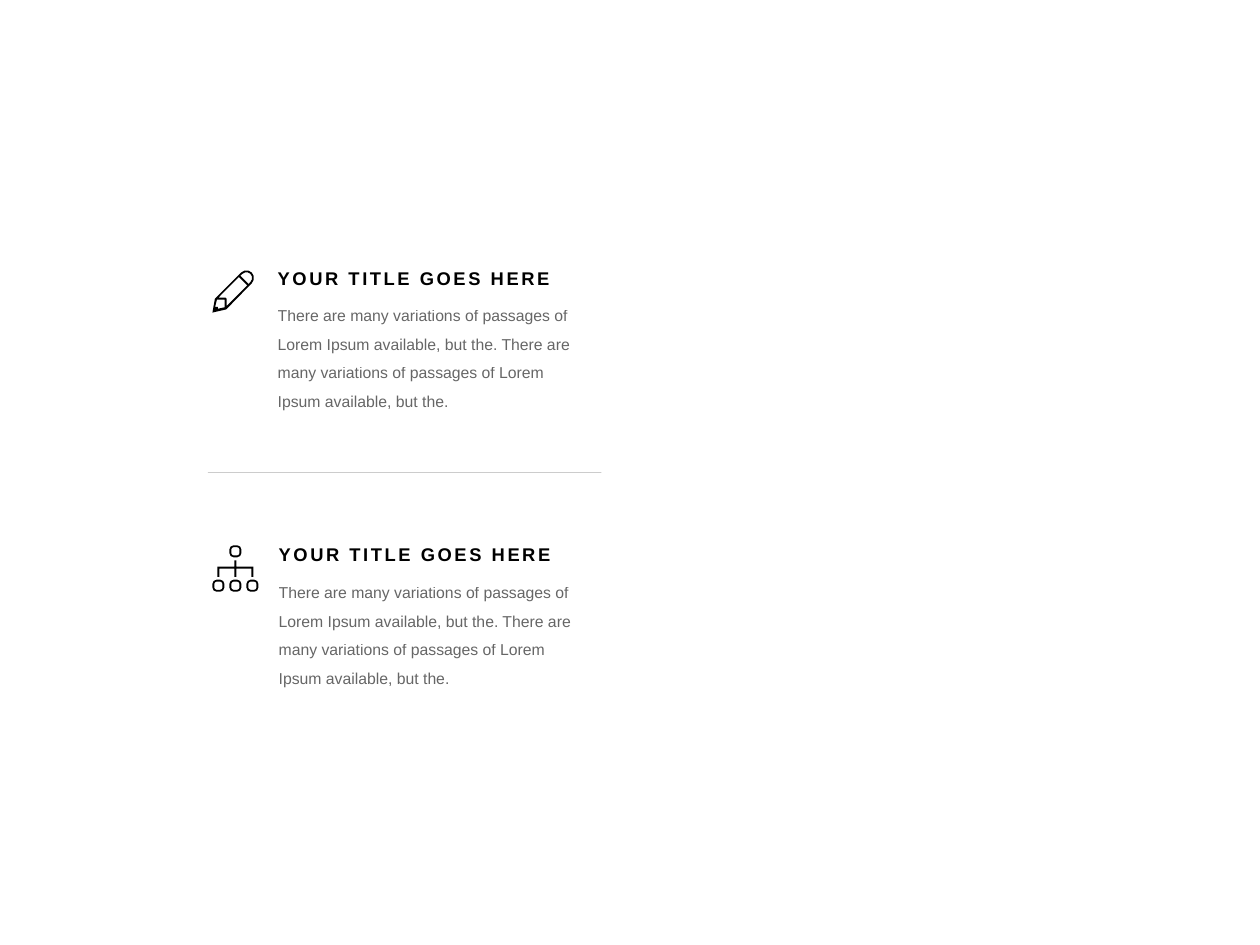
import math

import pptx
import pptx.dml.color
import pptx.enum.shapes
import pptx.enum.text
import pptx.oxml
import pptx.oxml.ns
import pptx.util

COLORS = {"ink": "000000"}
FONT = "Arial"
INK = pptx.dml.color.RGBColor.from_string(COLORS["ink"])
TITLE = "YOUR TITLE GOES HERE"
SENTENCE = "There are many variations of passages of Lorem Ipsum available, but the."

presentation = pptx.Presentation()
presentation.slide_width = pptx.util.Inches(10)
presentation.slide_height = pptx.util.Inches(7.5)
slide = presentation.slides.add_slide(presentation.slide_layouts[6])

# Grid: 1000 columns across the slide, square cells
CELL = presentation.slide_width // 1000
FINE = 100  # icon steps per cell


def arc(center_x, center_y, radius, start, end, steps):
    angles = [math.radians(start + (end - start) * i / steps) for i in range(steps + 1)]
    return [(center_x + radius * math.cos(a), center_y + radius * math.sin(a))
            for a in angles]


def fade(element, percent):
    color = element.find(".//" + pptx.oxml.ns.qn("a:srgbClr"))
    alpha = color.makeelement(pptx.oxml.ns.qn("a:alpha"), {"val": str(percent * 1000)})
    color.append(alpha)


# Pencil outline with its eraser, body and tip cut out
pencil = [
    arc(27, 6, 6, 225, 405, 6) + [(11, 31), (0, 33.5), (2, 22.5)],
    arc(27, 6, 4.5, 225, 405, 6) + [(28.8, 10.8), (22.2, 4.2)],
    [(11.3, 28.3), (11.3, 22.5), (10.5, 21.7), (4.7, 21.7), (21.1, 5.3), (27.7, 11.9)],
    [(9.8, 29.3), (4.3, 30.5), (4.3, 29), (2.2, 29), (3.6, 23.2), (9.8, 23.2)],
]

# Hierarchy: one box above three, joined by a branch
PITCH, BOX, STROKE, ROUNDING = 13.5, 9.5, 1.5, 3.3
near, far = ROUNDING, BOX - ROUNDING
corners = [(far, near, 270), (far, far, 0), (near, far, 90), (near, near, 180)]
hierarchy = []
for column, top in [(1, 0), (0, 27.3), (1, 27.3), (2, 27.3)]:
    left = column * PITCH
    for inset in (0, STROKE):
        hierarchy.append([point for x, y, angle in corners for point in
                          arc(left + x, top + y, ROUNDING - inset, angle, angle + 90, 2)])
half = STROKE / 2
first, middle, last = [BOX / 2 + PITCH * i for i in range(3)]
bar_top, bar_bottom, stem_top, leg_end = 17, 18.5, 12, 25
hierarchy.append([
    (first - half, bar_top), (middle - half, bar_top), (middle - half, stem_top),
    (middle + half, stem_top), (middle + half, bar_top), (last + half, bar_top),
    (last + half, leg_end), (last - half, leg_end), (last - half, bar_bottom),
    (middle + half, bar_bottom), (middle + half, leg_end), (middle - half, leg_end),
    (middle - half, bar_bottom), (first + half, bar_bottom),
    (first + half, leg_end), (first - half, leg_end),
])

# Two entries: icon, title and description
for outlines, icon_top, text_left, title_top, body_top in [
    (pencil, 214.6, 220.4, 215.2, 235.3),
    (hierarchy, 432.8, 221.2, 434.5, 455.2),
]:
    builder = None
    for outline in outlines:
        points = [(x * FINE, y * FINE) for x, y in outline]
        if builder is None:
            builder = slide.shapes.build_freeform(*points[0], scale=CELL / FINE)
        else:
            builder.move_to(*points[0])
        builder.add_line_segments(points[1:], close=True)
    icon = builder.convert_to_shape(round(168.6 * CELL), round(icon_top * CELL))
    icon.shadow.inherit = False
    icon.fill.solid()
    icon.fill.fore_color.rgb = INK
    icon.line.fill.background()

    for words, top, height, size, spacing, right_inset in [
        (TITLE, title_top, 14, 10.5, 0.8, 0),
        (f"{SENTENCE} {SENTENCE}", body_top, 88, 9, 1.5, 7),
    ]:
        frame = slide.shapes.add_textbox(
            *[round(cells * CELL) for cells in (text_left, top, 255, height)]).text_frame
        frame.margin_left = frame.margin_top = frame.margin_bottom = 0
        frame.margin_right = right_inset * CELL
        frame.word_wrap = True
        frame.auto_size = pptx.enum.text.MSO_AUTO_SIZE.SHAPE_TO_FIT_TEXT
        frame.text = words
        paragraph = frame.paragraphs[0]
        paragraph.line_spacing = spacing
        run = paragraph.runs[0]
        run.font.name = FONT
        run.font.size = pptx.util.Pt(size)
        run.font.color.rgb = INK
        if words == TITLE:
            run.font.bold = True
            run._r.get_or_add_rPr().set("spc", "150")
        else:
            fade(run._r, 60)

# Divider between the entries
divider = slide.shapes.add_connector(
    pptx.enum.shapes.MSO_CONNECTOR.STRAIGHT,
    *[round(cells * CELL) for cells in (165, 375, 477.3, 375)])
divider.line.color.rgb = INK
divider.line.width = pptx.util.Pt(0.5)
fade(divider.line._get_or_add_ln(), 20)
shape_properties = divider._element.spPr
shape_properties.append(shape_properties.makeelement(pptx.oxml.ns.qn("a:effectLst"), {}))

presentation.save("out.pptx")
